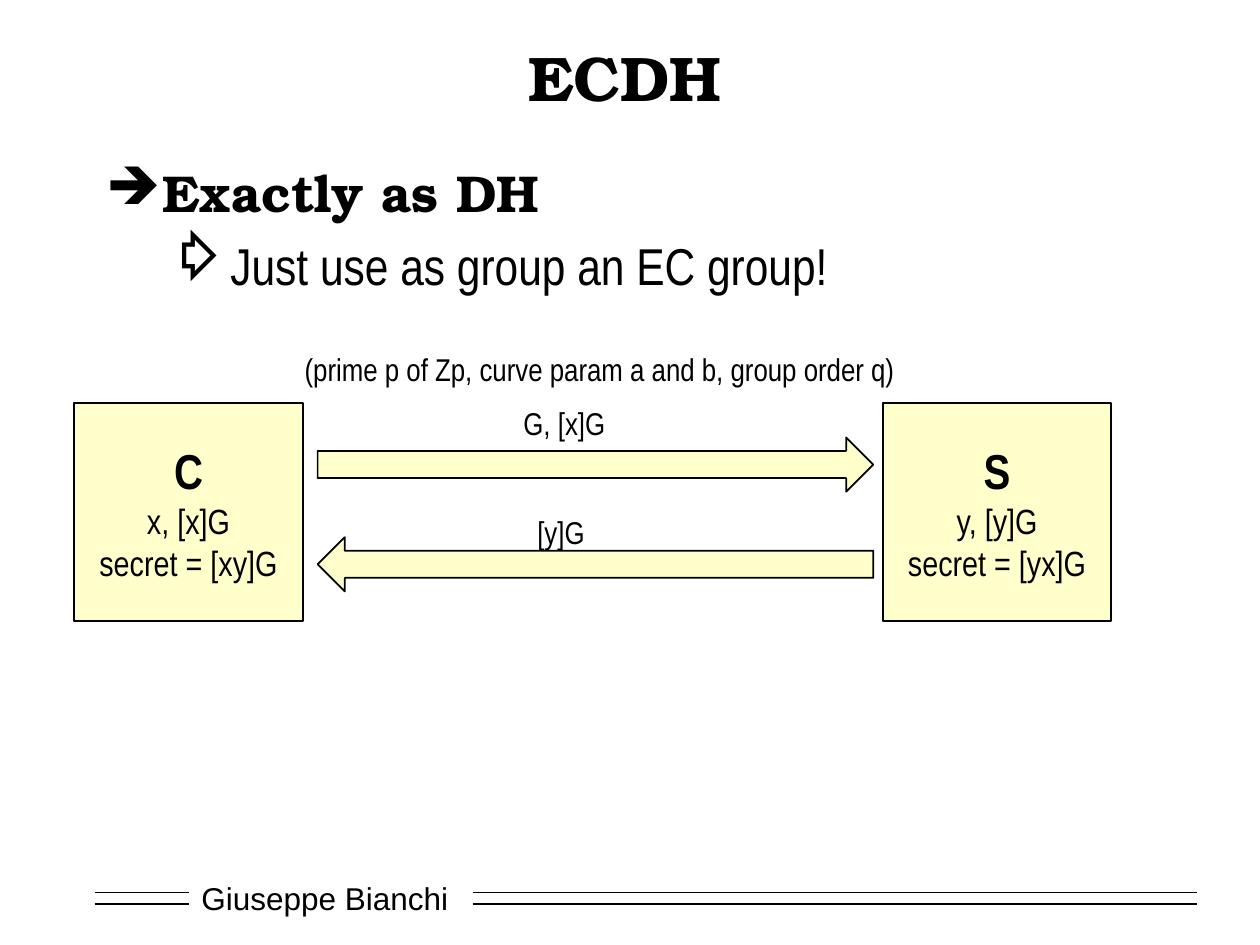
from dataclasses import dataclass

from lxml import etree
from pptx import Presentation
from pptx.dml.color import RGBColor
from pptx.enum.shapes import MSO_CONNECTOR, MSO_SHAPE
from pptx.enum.text import MSO_ANCHOR, MSO_AUTO_SIZE, PP_ALIGN
from pptx.oxml.ns import qn
from pptx.util import Pt

RECTANGLE = MSO_SHAPE.RECTANGLE
RIGHT_ARROW, LEFT_ARROW = MSO_SHAPE.RIGHT_ARROW, MSO_SHAPE.LEFT_ARROW
STRAIGHT = MSO_CONNECTOR.STRAIGHT
MIDDLE, TOP = MSO_ANCHOR.MIDDLE, MSO_ANCHOR.TOP
CENTER, LEFT = PP_ALIGN.CENTER, PP_ALIGN.LEFT
FIT_SHAPE = MSO_AUTO_SIZE.SHAPE_TO_FIT_TEXT


@dataclass(frozen=True)
class Theme:
    ink: RGBColor = RGBColor(0, 0, 0)
    paper: RGBColor = RGBColor(255, 255, 255)
    accent: RGBColor = RGBColor(255, 255, 153)
    accent_alpha: int = 50
    heading_font: str = "TeX Gyre Bonum"
    body_font: str = "Arial Narrow"
    footer_font: str = "Arial"
    title_size: float = 36
    bullet_size: float = 29.6
    party_size: float = 28
    value_size: float = 20
    label_size: float = 18


THEME = Theme()


def style(paragraph, size, name=THEME.body_font, bold=False, align=LEFT):
    paragraph.alignment = align
    font = paragraph.font
    font.size, font.name, font.bold = Pt(size), name, bold
    font.color.rgb = THEME.ink


def add_text_box(slide, left, top, width, height, wrap=True, anchor=TOP):
    box = slide.shapes.add_textbox(Pt(left), Pt(top), Pt(width), Pt(height))
    frame = box.text_frame
    frame.word_wrap, frame.vertical_anchor = wrap, anchor
    return frame


def add_tinted_shape(slide, preset, left, top, width, height):
    shape = slide.shapes.add_shape(preset, Pt(left), Pt(top), Pt(width), Pt(height))
    shape.shadow.inherit = False
    shape.fill.solid()
    shape.fill.fore_color.rgb = THEME.accent
    color = shape.fill._xPr.find(".//" + qn("a:srgbClr"))
    etree.SubElement(color, qn("a:alpha"), val=str(THEME.accent_alpha * 1000))
    shape.line.color.rgb = THEME.ink
    shape.line.width = Pt(1)
    return shape


def add_rule(slide, start, end, y):
    rule = slide.shapes.add_connector(STRAIGHT, Pt(start), Pt(y), Pt(end), Pt(y))
    rule.line.color.rgb = THEME.ink
    rule.line.width = Pt(1)
    etree.SubElement(rule._element.spPr, qn("a:effectLst"))


def add_footer(slide, left, top, width, height):
    # Author name between two pairs of rules
    name_left, name_width = left + 54, 156
    frame = add_text_box(slide, name_left, top, name_width, height, anchor=MIDDLE)
    paragraph = frame.paragraphs[0]
    paragraph.text = "Giuseppe Bianchi"
    style(paragraph, THEME.label_size, THEME.footer_font)
    for y in (top + 11.5, top + 18):
        add_rule(slide, left, name_left, y)
        add_rule(slide, name_left + name_width + 6, left + width, y)


def add_title(slide, left, top, width, height):
    frame = add_text_box(slide, left, top, width, height, anchor=MIDDLE)
    paragraph = frame.paragraphs[0]
    paragraph.text = "ECDH"
    style(paragraph, THEME.title_size, THEME.heading_font, True, CENTER)


def add_bullets(slide, left, top, width, height):
    frame = add_text_box(slide, left, top, width, height)
    bullets = [
        ("Exactly as DH", "➔", 27, 27, 0, THEME.heading_font, True),
        ("Just use as group an EC group!", "⇨", 58.5, 22.5, 6, THEME.body_font, False),
    ]
    for level, (text, mark, margin, hanging, space, name, bold) in enumerate(bullets):
        paragraph = frame.add_paragraph() if level else frame.paragraphs[0]
        paragraph.text = text
        paragraph.level = level
        paragraph.space_before = Pt(space)
        properties = paragraph._p.get_or_add_pPr()
        properties.set("marL", str(Pt(margin)))
        properties.set("indent", str(-Pt(hanging)))
        etree.SubElement(properties, qn("a:buChar"), char=mark)
        style(paragraph, THEME.bullet_size, name, bold)


def add_party(slide, left, top, width, height, lines):
    shape = add_tinted_shape(slide, RECTANGLE, left, top, width, height)
    frame = shape.text_frame
    frame.word_wrap, frame.vertical_anchor = False, MIDDLE
    for index, text in enumerate(lines):
        paragraph = frame.add_paragraph() if index else frame.paragraphs[0]
        paragraph.text = text
        heading = index == 0
        size = THEME.party_size if heading else THEME.value_size
        style(paragraph, size, bold=heading, align=CENTER)


def add_label(slide, left, top, width, text):
    frame = add_text_box(slide, left, top, width, 29, wrap=False)
    frame.auto_size = FIT_SHAPE
    paragraph = frame.paragraphs[0]
    paragraph.text = text
    style(paragraph, THEME.label_size)


def add_exchange(slide, left, top, width, height):
    # Two parties at the ends of the region
    party_width = 130.5
    add_party(slide, left, top, party_width, height,
              ["C", "x, [x]G", "secret = [xy]G"])
    add_party(slide, left + width - party_width, top, party_width, height,
              ["S", "y, [y]G", "secret = [yx]G"])

    # Messages in both directions
    arrow_left = left + party_width + 8.5
    for preset, offset in ((RIGHT_ARROW, 19.5), (LEFT_ARROW, 76.5)):
        add_tinted_shape(slide, preset, arrow_left, top + offset, 317.5, 31)

    # Message labels and shared parameters
    add_label(slide, left + 249.5, top - 3, 62, "G, [x]G")
    add_label(slide, left + 124.5, top - 34, 356,
              "(prime p of Zp, curve param a and b, group order q)")
    add_label(slide, left + 257.5, top + 59, 42, "[y]G")


def main():
    presentation = Presentation()
    presentation.slide_width, presentation.slide_height = Pt(720), Pt(540)
    slide = presentation.slides.add_slide(presentation.slide_layouts[6])
    slide.background.fill.solid()
    slide.background.fill.fore_color.rgb = THEME.paper
    add_footer(slide, 54, 498.5, 630, 29)
    add_title(slide, 54, 18, 606, 51)
    add_bullets(slide, 54, 88.5, 606, 76.5)
    add_exchange(slide, 42.5, 230.5, 592.5, 124.5)
    presentation.save("out.pptx")


if __name__ == "__main__":
    main()
